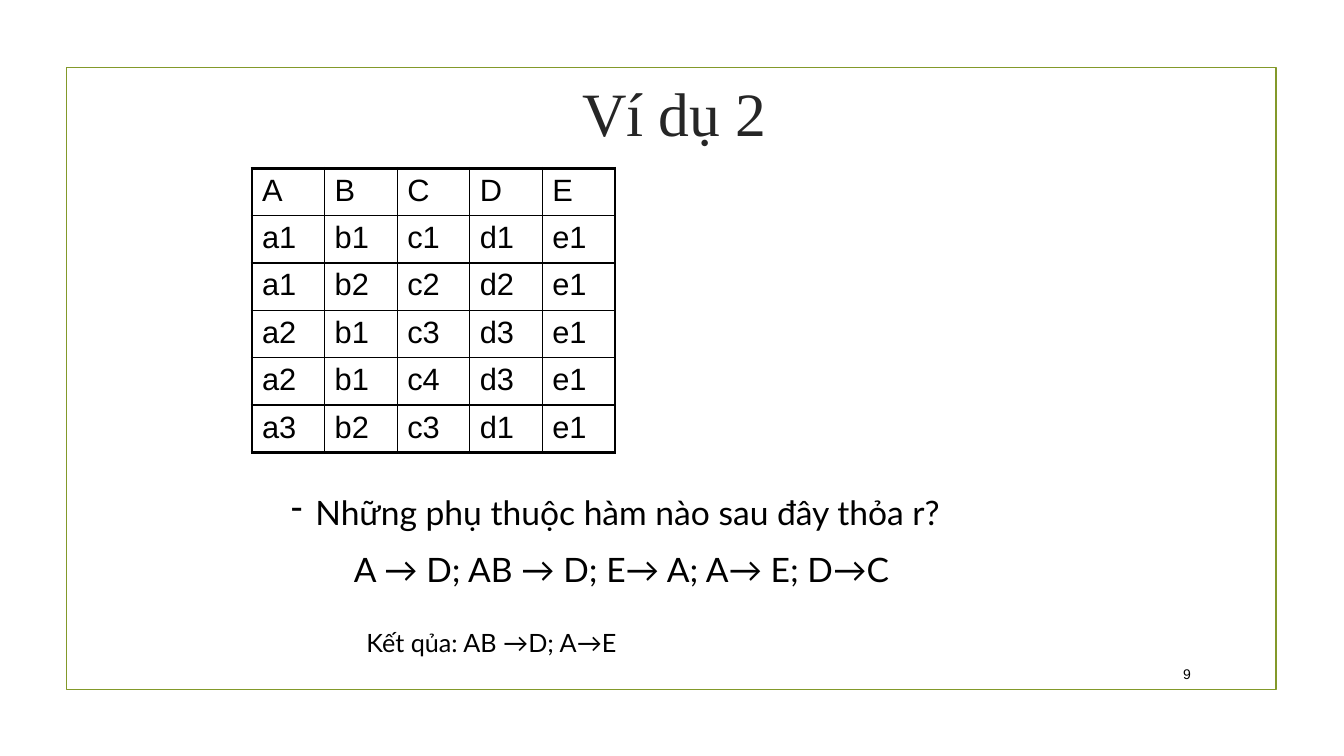
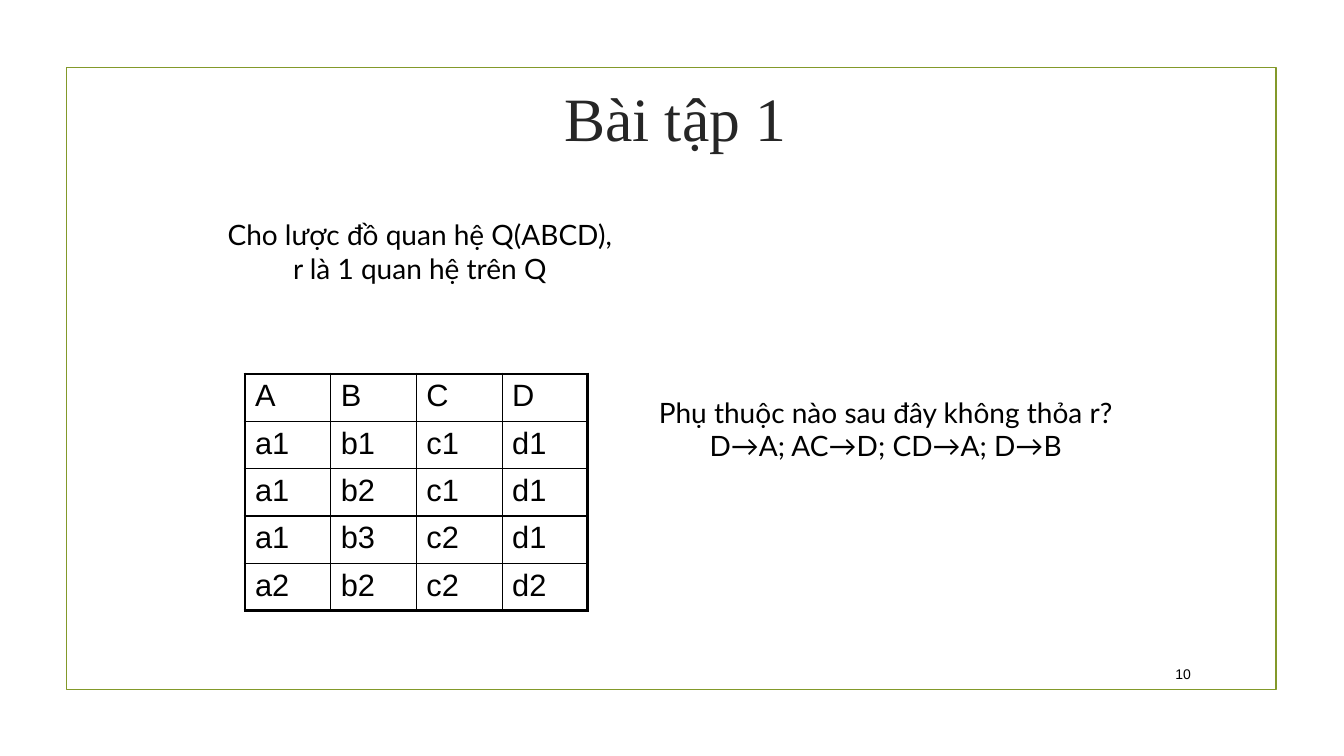
"""Build two slides on functional dependencies in relations."""
from dataclasses import dataclass

from lxml import etree
from pptx import Presentation
from pptx.dml.color import RGBColor
from pptx.enum.shapes import MSO_SHAPE
from pptx.enum.text import MSO_ANCHOR, PP_ALIGN
from pptx.oxml.ns import qn
from pptx.presentation import Presentation as Deck
from pptx.slide import Slide
from pptx.table import _Cell as Cell
from pptx.util import Emu, Pt

EMU_PER_PX = 9144
SLIDE_WIDTH, SLIDE_HEIGHT = 1333, 750
BLANK_LAYOUT = 6
COLOURS = {"frame": "83992A", "title": "262626", "text": "000000"}
TITLE_FONT, BODY_FONT, TABLE_FONT = "Times New Roman", "Lato", "Arial"
RECTANGLE = MSO_SHAPE.RECTANGLE
TOP, MIDDLE = MSO_ANCHOR.TOP, MSO_ANCHOR.MIDDLE
CENTER, RIGHT, JUSTIFY = PP_ALIGN.CENTER, PP_ALIGN.RIGHT, PP_ALIGN.JUSTIFY
ROW_HEIGHT = 47
OUTER_BORDER, INNER_BORDER = 2.25, 1
DASH_MARGIN, DASH_INDENT = 12, -24


@dataclass(frozen=True)
class Box:
    left: int
    top: int
    width: int
    height: int


@dataclass(frozen=True)
class TextStyle:
    font: str
    size: int
    colour: str = "text"
    align: PP_ALIGN = CENTER
    anchor: MSO_ANCHOR = TOP


@dataclass(frozen=True)
class Line:
    text: str
    dash: bool = False


@dataclass(frozen=True)
class TextBlock:
    box: Box
    size: int
    lines: tuple[Line, ...]


@dataclass(frozen=True)
class Relation:
    left: int
    top: int
    column_width: int
    rows: tuple[str, ...]


@dataclass(frozen=True)
class Page:
    number: int
    title: str
    title_box: Box
    relation: Relation
    blocks: tuple[TextBlock, ...]


FRAME_BOX = Box(66, 67, 1200, 617)
NUMBER_BOX = Box(1132, 653, 59, 31)
TITLE_STYLE = TextStyle(TITLE_FONT, 44, "title", anchor=MIDDLE)
NUMBER_STYLE = TextStyle(TABLE_FONT, 10, align=RIGHT, anchor=MIDDLE)
CELL_STYLE = TextStyle(TABLE_FONT, 22, align=JUSTIFY)

PAGES = (
    Page(
        9, "Ví dụ 2", Box(69, 68, 1200, 86),
        Relation(250, 167, 72, (
            "A B C D E",
            "a1 b1 c1 d1 e1",
            "a1 b2 c2 d2 e1",
            "a2 b1 c3 d3 e1",
            "a2 b1 c4 d3 e1",
            "a3 b2 c3 d1 e1",
        )),
        (
            TextBlock(Box(208, 483, 817, 111), 24, (
                Line("Những phụ thuộc hàm nào sau đây thỏa r?", dash=True),
                Line("A → D; AB → D; E→ A; A→ E; D→C"),
            )),
            TextBlock(Box(250, 617, 475, 40), 18, (Line("Kết qủa: AB →D; A→E"),)),
        ),
    ),
    Page(
        10, "Bài tập 1", Box(70, 73, 1200, 86),
        Relation(243, 371, 85, (
            "A B C D",
            "a1 b1 c1 d1",
            "a1 b2 c1 d1",
            "a1 b3 c2 d1",
            "a2 b2 c2 d2",
        )),
        (
            TextBlock(Box(625, 387, 507, 77), 20, (
                Line("Phụ thuộc nào sau đây không thỏa r? D→A; AC→D; CD→A; D→B"),
            )),
            TextBlock(Box(208, 211, 417, 77), 20, (
                Line("Cho lược đồ quan hệ Q(ABCD), r là 1 quan hệ trên Q"),
            )),
        ),
    ),
)


def px(length: int) -> Emu:
    return Emu(length * EMU_PER_PX)


def place(box: Box) -> tuple[Emu, Emu, Emu, Emu]:
    return px(box.left), px(box.top), px(box.width), px(box.height)


def colour(name: str) -> RGBColor:
    return RGBColor.from_string(COLOURS[name])


def write_run(paragraph, text: str, style: TextStyle) -> None:
    paragraph.alignment = style.align
    run = paragraph.add_run()
    run.text = text
    run.font.name = style.font
    run.font.size = Pt(style.size)
    run.font.color.rgb = colour(style.colour)


def add_dash(paragraph) -> None:
    properties = paragraph._p.get_or_add_pPr()
    properties.set("marL", str(px(DASH_MARGIN)))
    properties.set("indent", str(px(DASH_INDENT)))
    etree.SubElement(properties, qn("a:buChar"), char="-")


def add_text(slide: Slide, box: Box, style: TextStyle, lines: tuple[Line, ...]) -> None:
    frame = slide.shapes.add_textbox(*place(box)).text_frame
    frame.word_wrap = True
    frame.vertical_anchor = style.anchor
    for index, line in enumerate(lines):
        paragraph = frame.add_paragraph() if index else frame.paragraphs[0]
        if index:
            paragraph.space_before = Pt(style.size / 2)
        if line.dash:
            add_dash(paragraph)
        write_run(paragraph, line.text, style)


def add_frame(slide: Slide) -> None:
    shape = slide.shapes.add_shape(RECTANGLE, *place(FRAME_BOX))
    shape.shadow.inherit = False
    shape.fill.background()
    shape.line.color.rgb = colour("frame")
    shape.line.width = Pt(1.25)


def set_borders(cell: Cell, outer_sides: dict[str, bool]) -> None:
    properties = cell._tc.get_or_add_tcPr()
    for side, is_outer in outer_sides.items():
        width = Pt(OUTER_BORDER if is_outer else INNER_BORDER)
        border = etree.SubElement(properties, qn(f"a:ln{side}"), w=str(width))
        fill = etree.SubElement(border, qn("a:solidFill"))
        etree.SubElement(fill, qn("a:srgbClr"), val=COLOURS["text"])


def add_relation(slide: Slide, relation: Relation) -> None:
    grid = [row.split() for row in relation.rows]
    row_count, column_count = len(grid), len(grid[0])
    box = Box(relation.left, relation.top,
              relation.column_width * column_count, ROW_HEIGHT * row_count)
    table = slide.shapes.add_table(row_count, column_count, *place(box)).table
    table.first_row = table.horz_banding = False
    for row_index, values in enumerate(grid):
        for column_index, value in enumerate(values):
            cell = table.cell(row_index, column_index)
            write_run(cell.text_frame.paragraphs[0], value, CELL_STYLE)
            set_borders(cell, {
                "L": column_index == 0,
                "R": column_index == column_count - 1,
                "T": row_index == 0,
                "B": row_index == row_count - 1,
            })
            cell.fill.background()


def add_page(presentation: Deck, page: Page) -> None:
    slide = presentation.slides.add_slide(presentation.slide_layouts[BLANK_LAYOUT])
    add_frame(slide)
    add_text(slide, NUMBER_BOX, NUMBER_STYLE, (Line(str(page.number)),))
    add_text(slide, page.title_box, TITLE_STYLE, (Line(page.title),))
    add_relation(slide, page.relation)
    for block in page.blocks:
        add_text(slide, block.box, TextStyle(BODY_FONT, block.size), block.lines)


def main() -> None:
    presentation = Presentation()
    presentation.slide_width = px(SLIDE_WIDTH)
    presentation.slide_height = px(SLIDE_HEIGHT)
    for page in PAGES:
        add_page(presentation, page)
    presentation.save("out.pptx")


if __name__ == "__main__":
    main()
